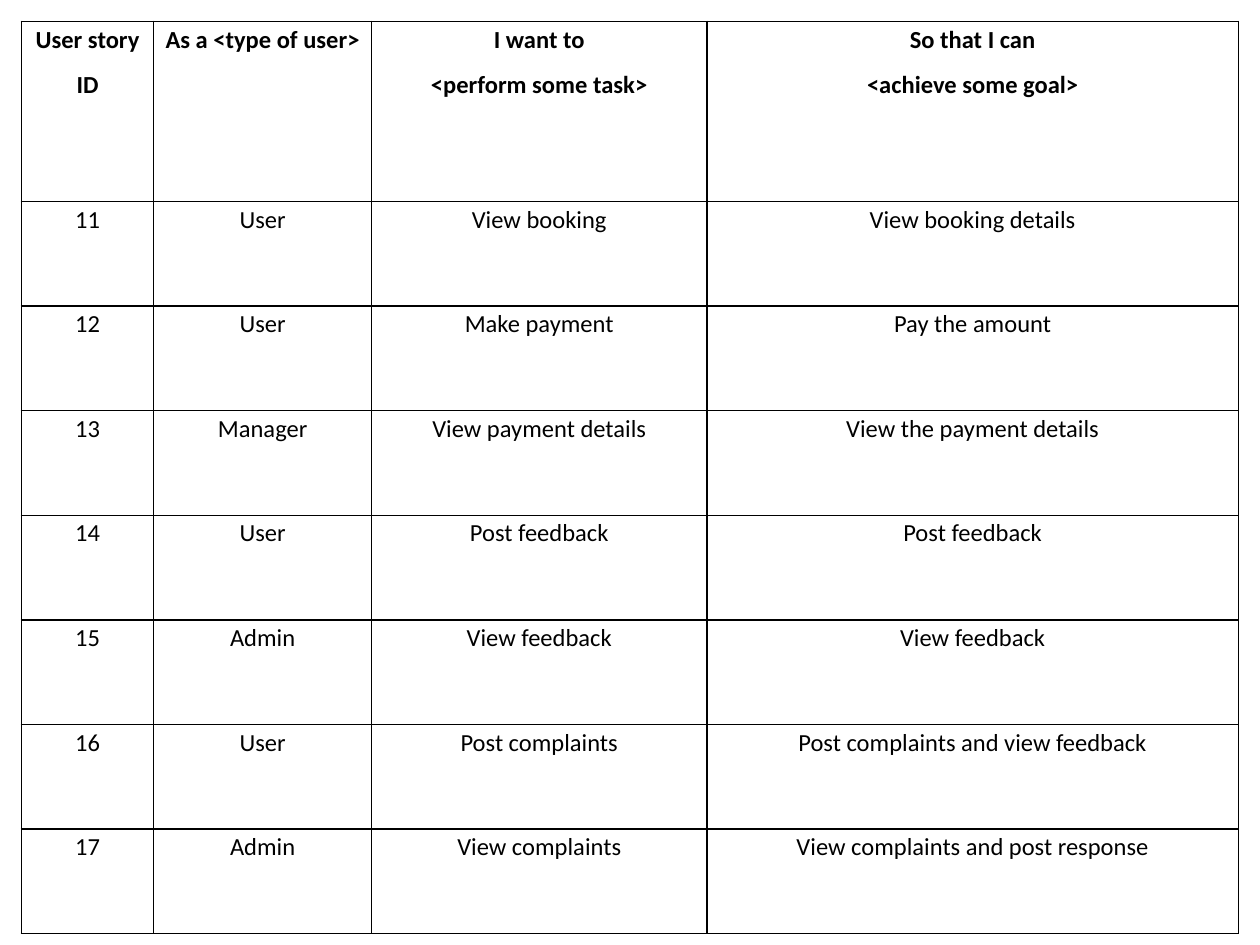
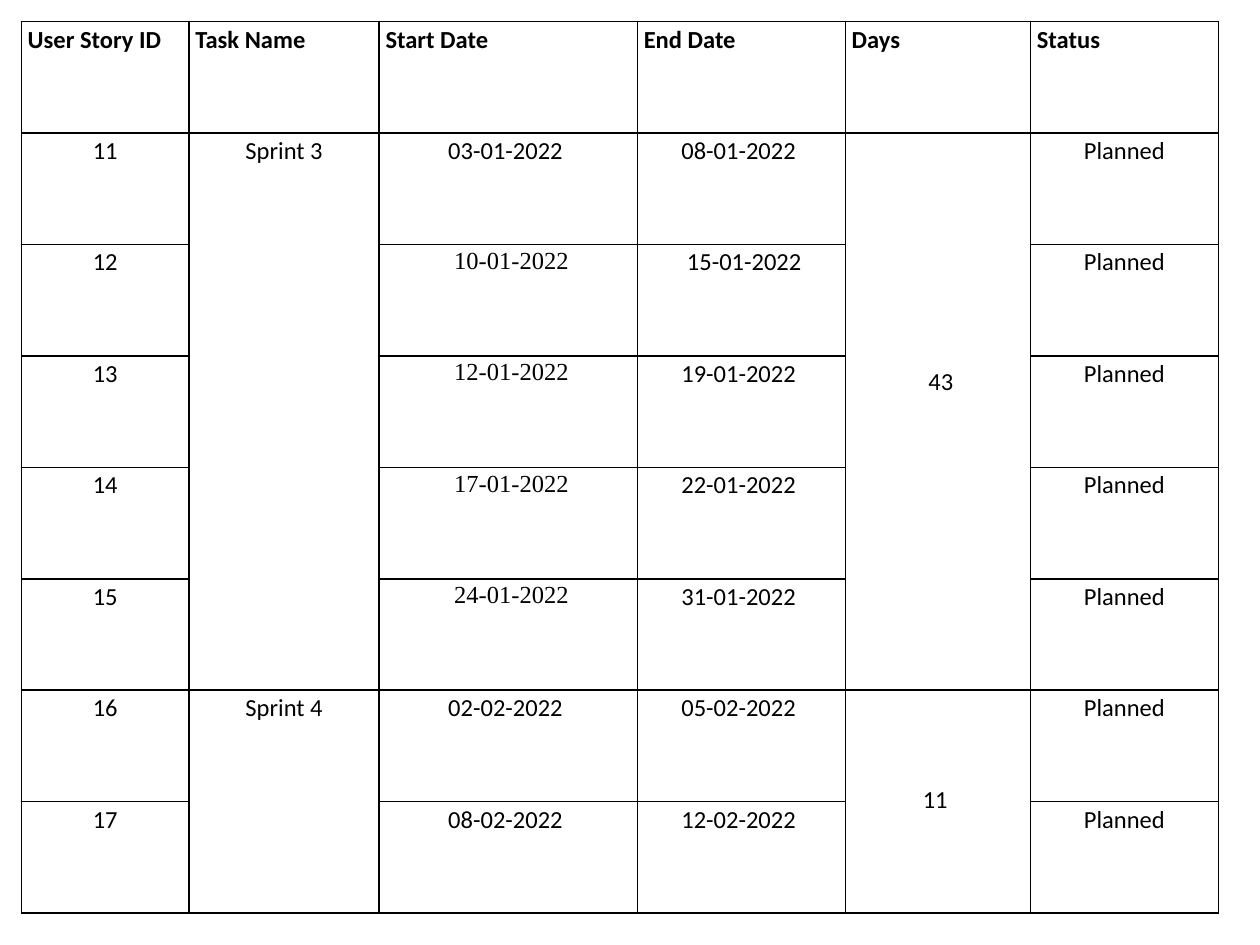
import pptx
import pptx.util
import pptx.dml.color
import pptx.enum.text
import pptx.oxml.ns
import lxml.etree

Inches, Pt = pptx.util.Inches, pptx.util.Pt
ALIGN = pptx.enum.text.PP_ALIGN
BLACK = pptx.dml.color.RGBColor(0, 0, 0)
SANS, SERIF = "Calibri", "Times New Roman"
NB = "\u00a0"
EDGE = 0.17  # left and top of both tables

# Content: user stories
STORY_COLS = [1.05, 1.73, 2.66, 4.22]
STORY_HEAD = ["User story\nID", "As a <type of user>",
              "I want to\n<perform some task>", "So that I can\n<achieve some goal>"]
STORIES = [
    ["11", "User", "View booking", "View booking details"],
    ["12", "User", "Make payment", "Pay the amount"],
    ["13", "Manager", "View payment details", "View the payment details"],
    ["14", "User", "Post feedback", "Post feedback"],
    ["15", "Admin", "View feedback", "View feedback"],
    ["16", "User", "Post complaints", "Post complaints and view feedback"],
    ["17", "Admin", "View complaints", "View complaints and post response"],
]

# Content: sprint plan
PLAN_COLS = [1.33, 1.51, 2.05, 1.65, 1.47, 1.49]
PLAN_HEAD = ["User Story ID", "Task Name", "Start Date", "End Date", "Days", "Status"]
DATES = [
    ("03-01-2022" + NB, "08-01-2022" + NB),
    (NB + "10-01-2022", NB + "15-01-2022"),
    (NB + "12-01-2022", "19-01-2022" + NB),
    (NB + "17-01-2022", "22-01-2022" + NB),
    (NB + "24-01-2022", "31-01-2022" + NB),
    ("02-02-2022" + NB, "05-02-2022" + NB),
    ("08-02-2022" + NB, "12-02-2022" + NB),
]
SERIF_ROWS = range(2, 6)  # start dates set in the serif face
# first row, last row, sprint, days, space above the days
SPRINTS = [(1, 5, "Sprint 3", NB + "43", 1.84),
           (6, 7, "Sprint 4", "11" + NB, 0.74)]


def write(cell, text, font=SANS, bold=False, align=ALIGN.CENTER, side=0.05, top=0.01):
    """Fill a cell with text, one paragraph per line."""
    cell.margin_left = cell.margin_right = Inches(side)
    cell.margin_top, cell.margin_bottom = Inches(top), 0
    frame = cell.text_frame
    frame.text = text
    for para in frame.paragraphs:
        para.alignment = align
        para.line_spacing = 1.07
        para.space_after = Pt(8)
        para.font.size = Pt(14)
        for run in para.runs:
            run.font.name, run.font.size = font, Pt(14)
            run.font.bold, run.font.color.rgb = bold, BLACK


def rule(cell):
    """Draw a thin black line on all four sides of a cell."""
    cell.fill.background()
    props = cell._tc.get_or_add_tcPr()
    qn = pptx.oxml.ns.qn
    for i, side in enumerate("LRTB"):
        line = lxml.etree.Element(qn("a:ln" + side), w=str(Pt(1)))
        fill = lxml.etree.SubElement(line, qn("a:solidFill"))
        lxml.etree.SubElement(fill, qn("a:srgbClr"), val=str(BLACK))
        props.insert(i, line)


def add_grid(deck, cols, rows):
    """Add a slide with one plain ruled table."""
    slide = deck.slides.add_slide(deck.slide_layouts[6])
    table = slide.shapes.add_table(
        len(rows), len(cols), Inches(EDGE), Inches(EDGE),
        Inches(sum(cols)), Inches(sum(rows))).table
    table.first_row = table.horz_banding = False
    for col, width in zip(table.columns, cols):
        col.width = Inches(width)
    for row, height in zip(table.rows, rows):
        row.height = Inches(height)
    for cell in table.iter_cells():
        rule(cell)
    return table


deck = pptx.Presentation()
deck.slide_width, deck.slide_height = Inches(10), Inches(7.5)

# User stories
table = add_grid(deck, STORY_COLS, [1.43] + [0.83] * len(STORIES))
for r, row in enumerate([STORY_HEAD] + STORIES):
    for c, text in enumerate(row):
        write(table.cell(r, c), text, bold=r == 0, side=0.04)

# Sprint plan
count = len(DATES) + 1
table = add_grid(deck, PLAN_COLS, [7.08 / count] * count)
for c, text in enumerate(PLAN_HEAD):
    write(table.cell(0, c), text, bold=True, align=ALIGN.LEFT)
for r, (start, end) in enumerate(DATES, 1):
    write(table.cell(r, 0), STORIES[r - 1][0])
    write(table.cell(r, 2), start, font=SERIF if r in SERIF_ROWS else SANS)
    write(table.cell(r, 3), end)
    write(table.cell(r, 5), "Planned")
for first, last, name, days, top in SPRINTS:
    for c, text, gap in ((1, name, 0.01), (4, days, top)):
        table.cell(first, c).merge(table.cell(last, c))
        write(table.cell(first, c), text, top=gap)

deck.save("out.pptx")
